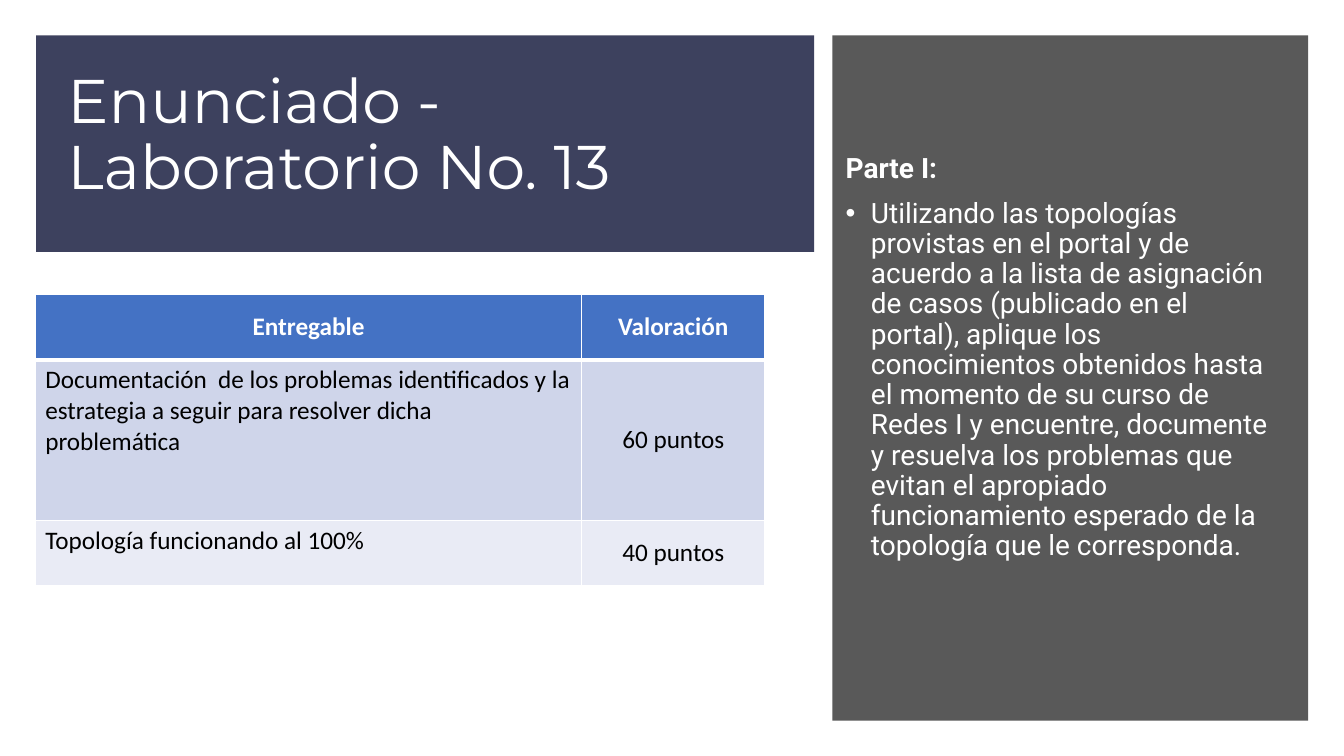
import pptx
import pptx.util
import pptx.dml.color
import pptx.enum.shapes
import pptx.enum.text
import pptx.oxml
import pptx.oxml.ns
import lxml.etree

Cm, Pt = pptx.util.Cm, pptx.util.Pt
ALIGN = pptx.enum.text.PP_ALIGN
MIDDLE = pptx.enum.text.MSO_ANCHOR.MIDDLE
TOP = pptx.enum.text.MSO_ANCHOR.TOP
qn = pptx.oxml.ns.qn

COLORS = {
    "navy": "333756", "gray": "595959", "white": "FFFFFF", "black": "000000",
    "head": "4472C4", "band": "CFD5EA", "pale": "E9EBF5",
}


def paint(fill, name):
    fill.solid()
    fill.fore_color.rgb = pptx.dml.color.RGBColor.from_string(COLORS[name])


def write(para, text, font, size, color, bold=False):
    run = para.add_run()
    run.text = text
    run.font.name = font
    run.font.size = Pt(size)
    run.font.bold = bold
    paint(run.font.fill, color)


deck = pptx.Presentation()
deck.slide_width, deck.slide_height = Cm(33.87), Cm(19.05)
slide = deck.slides.add_slide(deck.slide_layouts[6])

# Title banner and side panel
for left, width, height, color in [(0.91, 19.61, 5.46, "navy"),
                                   (20.98, 11.99, 17.27, "gray")]:
    block = slide.shapes.add_shape(
        pptx.enum.shapes.MSO_SHAPE.RECTANGLE,
        Cm(left), Cm(0.89), Cm(width), Cm(height))
    block.shadow.inherit = False
    block.line.fill.background()
    paint(block.fill, color)
    if color == "navy":
        tint = block.fill._xPr.find(".//" + qn("a:srgbClr"))
        lxml.etree.SubElement(tint, qn("a:alpha"), val="95000")

# Title and task text
frames = []
for left, width, height in [(1.45, 18.31, 4.14), (21.06, 11.35, 15.32)]:
    box = slide.shapes.add_textbox(Cm(left), Cm(1.37), Cm(width), Cm(height))
    box.text_frame.word_wrap = True
    box.text_frame.vertical_anchor = MIDDLE
    frames.append(box.text_frame)
title, body = frames

head = title.paragraphs[0]
head.line_spacing = 0.9
write(head, "Enunciado - Laboratorio No. 13", "Montserrat", 44, "white")

part, task = body.paragraphs[0], body.add_paragraph()
for para in (part, task):
    para.line_spacing = 0.9
    para.space_before = Pt(10)
write(part, "Parte I:", "Roboto", 20, "white", True)
write(task, "Utilizando las topologías provistas en el portal y de acuerdo a la "
      "lista de asignación de casos (publicado en el portal), aplique los "
      "conocimientos obtenidos hasta el momento de su curso de Redes I y "
      "encuentre, documente y resuelva los problemas que evitan el apropiado "
      "funcionamiento esperado de la topología que le corresponda.",
      "Roboto", 20, "white")

# Bullet of the task
props = task._p.get_or_add_pPr()
props.set("marL", str(Cm(0.64)))
props.set("indent", str(-Cm(0.64)))
lxml.etree.SubElement(props, qn("a:buFont"), typeface="Arial")
lxml.etree.SubElement(props, qn("a:buChar"), char="•")

# Grading table
rows = [
    ("Entregable", "Valoración"),
    ("Documentación  de los problemas identificados y la estrategia a seguir "
     "para resolver dicha problemática", "60 puntos"),
    ("Topología funcionando al 100%", "40 puntos"),
]
widths, heights = [13.77, 4.62], [1.65, 4.04, 1.65]
grid = slide.shapes.add_table(
    len(rows), len(widths), Cm(0.89), Cm(7.42),
    Cm(sum(widths)), Cm(sum(heights))).table
for col, width in zip(grid.columns, widths):
    col.width = Cm(width)
for r, (row, fill) in enumerate(zip(rows, ["head", "band", "pale"])):
    grid.rows[r].height = Cm(heights[r])
    for c, text in enumerate(row):
        cell = grid.cell(r, c)
        top = r == 0
        center = top or c == 1
        para = cell.text_frame.paragraphs[0]
        para.alignment = ALIGN.CENTER if center else ALIGN.LEFT
        cell.vertical_anchor = MIDDLE if center else TOP
        write(para, text, "Calibri", 18, "white" if top else "black", top)

        # White borders, thick under the header
        thick = {"lnT": 3 if r == 1 else 1, "lnB": 3 if top else 1}
        edges = cell._tc.get_or_add_tcPr()
        for side in ("lnL", "lnR", "lnT", "lnB"):
            line = lxml.etree.SubElement(
                edges, qn("a:" + side), w=str(Pt(thick.get(side, 1))))
            solid = lxml.etree.SubElement(line, qn("a:solidFill"))
            lxml.etree.SubElement(solid, qn("a:srgbClr"), val=COLORS["white"])
        paint(cell.fill, fill)

deck.save("out.pptx")
